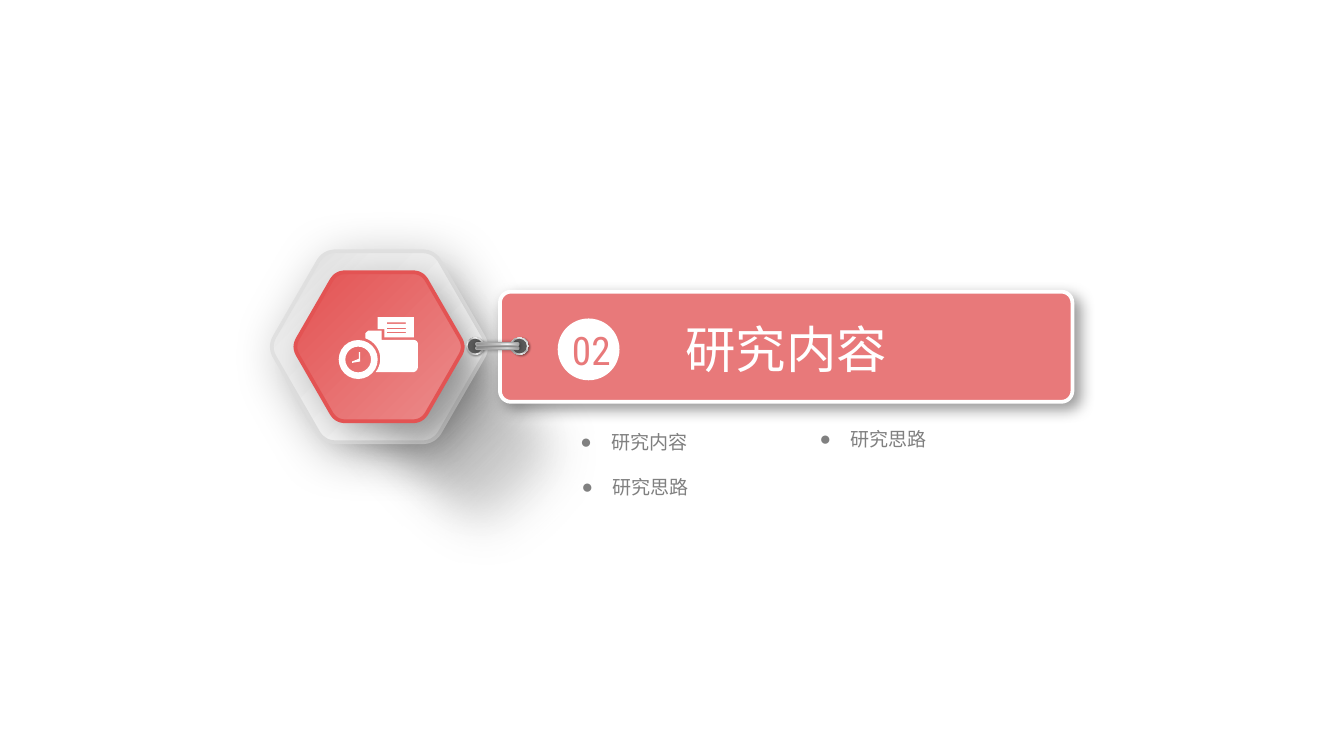
import math

import pptx
import pptx.dml.color
import pptx.enum.shapes
import pptx.enum.text
import pptx.oxml.ns
import pptx.util
from lxml import etree

Inches = pptx.util.Inches
RGBColor = pptx.dml.color.RGBColor
SHAPE = pptx.enum.shapes.MSO_SHAPE
ALIGN = pptx.enum.text.PP_ALIGN
qn = pptx.oxml.ns.qn

WHITE = RGBColor(0xFF, 0xFF, 0xFF)
BLACK = RGBColor(0, 0, 0)
CORAL = RGBColor(0xE8, 0x79, 0x7A)
CORAL_DARK = RGBColor(0xE3, 0x53, 0x53)
CORAL_LIGHT = RGBColor(0xEC, 0x8C, 0x8C)
SILVER = RGBColor(0xD9, 0xD9, 0xD9)
SILVER_LIGHT = RGBColor(0xEC, 0xEC, 0xEC)
SILVER_EDGE = RGBColor(0xE0, 0xE0, 0xE0)
STEEL = RGBColor(0xA6, 0xA6, 0xA6)
STEEL_LIGHT = RGBColor(0xF2, 0xF2, 0xF2)
HOLE = RGBColor(0x59, 0x59, 0x59)
GREY = RGBColor(0x80, 0x80, 0x80)
SHADE_MIDDLE = RGBColor(0x6C, 0x6C, 0x6C)
SHADE_END = RGBColor(0xD8, 0xD8, 0xD8)

CHINESE = "Noto Sans CJK SC"
LATIN = "Roboto Condensed"

# Gradients: (position, colour, opacity) in percent
SHADE = [(0, BLACK, 61), (37, SHADE_MIDDLE, 50), (100, SHADE_END, 0)]
PLATE = [(0, WHITE, 100), (73, SILVER_LIGHT, 100), (100, SILVER, 100)]
BADGE = [(0, CORAL_LIGHT, 100), (100, CORAL_DARK, 100)]
RING = [(0, WHITE, 100), (17, STEEL, 100), (35, STEEL_LIGHT, 100),
        (55, STEEL, 100), (75, STEEL_LIGHT, 100), (100, STEEL, 100)]
PIN = [(0, GREY, 100), (23, STEEL, 100), (52, SILVER, 100),
       (74, WHITE, 100), (100, STEEL, 100)]


def add_color(parent, color, opacity):
    node = etree.SubElement(parent, qn("a:srgbClr"), val=str(color))
    etree.SubElement(node, qn("a:alpha"), val=str(opacity * 1000))


def style(shape, fill, angle=0, line=None, shadow=None, soft=0, turn=0):
    """Fill is a colour or gradient stops; shadow is opacity, blur, distance, angle."""
    shape.rotation = turn
    if isinstance(fill, list):
        shape.fill.gradient()
        gradient = shape.element.spPr.find(qn("a:gradFill"))
        for child in list(gradient):
            gradient.remove(child)
        gradient.set("rotWithShape", "1")
        stops = etree.SubElement(gradient, qn("a:gsLst"))
        for position, color, opacity in fill:
            stop = etree.SubElement(stops, qn("a:gs"), pos=str(position * 1000))
            add_color(stop, color, opacity)
        etree.SubElement(gradient, qn("a:lin"), ang=str(angle * 60000), scaled="0")
    else:
        shape.fill.solid()
        shape.fill.fore_color.rgb = fill
    if line:
        shape.line.color.rgb, shape.line.width = line[0], pptx.util.Pt(line[1])
    else:
        shape.line.fill.background()
    shape.shadow.inherit = False
    effects = shape.element.spPr.find(qn("a:effectLst"))
    if shadow:
        opacity, blur, distance, direction = shadow
        outer = etree.SubElement(
            effects, qn("a:outerShdw"), blurRad=str(blur * 12700),
            dist=str(distance * 12700), dir=str(direction * 60000),
            algn="ctr", rotWithShape="0")
        add_color(outer, BLACK, opacity)
    if soft:
        etree.SubElement(effects, qn("a:softEdge"), rad=str(soft * 12700))


def add_preset(shapes, kind, left, top, width, height, fill, adjust=None, **look):
    shape = shapes.add_shape(kind, Inches(left), Inches(top), Inches(width), Inches(height))
    if adjust is not None:
        shape.adjustments[0] = adjust
    style(shape, fill, **look)


def add_outline(shapes, contours, fill, **look):
    contours = [[(Inches(x), Inches(y)) for x, y in points] for points in contours]
    builder = shapes.build_freeform(*contours[0][0])
    for number, points in enumerate(contours):
        if number:
            builder.move_to(*points[0])
        builder.add_line_segments(points[1:], close=True)
    style(builder.convert_to_shape(), fill, **look)


def arc(x, y, radius, start, end, steps=12):
    angles = [math.radians(start + (end - start) * i / steps) for i in range(steps + 1)]
    return [(x + radius * math.cos(a), y + radius * math.sin(a)) for a in angles]


def rectangle(left, top, right, bottom):
    return [(left, top), (right, top), (right, bottom), (left, bottom)]


def rounded_hexagon(x, y, radius, trim=0.11, steps=10):
    """Regular hexagon whose corners are quadratic curves."""
    corners = arc(x, y, radius, 0, 300, 5)
    points = []
    for i, corner in enumerate(corners):
        before, after = corners[i - 1], corners[(i + 1) % 6]
        start, end = [[c + (n - c) * trim for c, n in zip(corner, near)]
                      for near in (before, after)]
        for t in (step / steps for step in range(steps + 1)):
            points.append([(1 - t) ** 2 * s + 2 * t * (1 - t) * c + t * t * e
                           for s, c, e in zip(start, corner, end)])
    return points


def add_text(shapes, text, left, top, width, height, size, font, color,
             align=None, bullet=False):
    box = shapes.add_textbox(Inches(left), Inches(top), Inches(width), Inches(height))
    frame = box.text_frame
    frame.word_wrap = not bullet
    frame.margin_top = frame.margin_bottom = 0
    frame.vertical_anchor = pptx.enum.text.MSO_ANCHOR.MIDDLE
    para = frame.paragraphs[0]
    para.alignment = align
    if bullet:
        properties = para._p.get_or_add_pPr()
        properties.set("marL", str(Inches(0.23)))
        properties.set("indent", str(Inches(-0.23)))
        etree.SubElement(properties, qn("a:buFont"), typeface="Arial")
        etree.SubElement(properties, qn("a:buChar"), char="●")
    span = para.add_run()
    span.text = text
    span.font.size = pptx.util.Pt(size)
    span.font.name = font
    span.font.color.rgb = color
    etree.SubElement(span.font._element, qn("a:ea"), typeface=font)


def add_hexagons(page):
    shapes = page.shapes.add_group_shape().shapes
    layers = [
        ((1.89, 2.09, 2.83, 1.95), 25, 0.82, PLATE, SILVER_EDGE, (28, 28, 7, 45)),
        ((2.07, 2.24, 2.4, 1.57), 20, 0.64, BADGE, CORAL_DARK, (25, 20, 9, 45)),
    ]
    for shade, soft, radius, fill, edge, shadow in layers:
        add_preset(shapes, SHAPE.ROUNDED_RECTANGLE, *shade, SHADE, 0.5, turn=46, soft=soft)
        add_outline(shapes, [rounded_hexagon(2.82, 2.58, radius)], fill,
                    angle=45, line=(edge, 2), shadow=shadow, turn=180)


def add_clasp(page):
    for left in (3.8, 3.47):
        shapes = page.shapes.add_group_shape().shapes
        add_preset(shapes, SHAPE.OVAL, left, 2.51, 0.13, 0.13, RING,
                   angle=45, shadow=(40, 1, 1, 45), turn=270)
        add_preset(shapes, SHAPE.OVAL, left + 0.01, 2.52, 0.11, 0.11, HOLE, turn=270)
    shapes = page.shapes.add_group_shape().shapes
    for top in (2.43, 2.4):
        add_preset(shapes, SHAPE.ROUNDED_RECTANGLE, 3.69, top, 0.02, 0.32, PIN, 0.5,
                   angle=90, line=(STEEL, 0.75), shadow=(40, 2, 0, 0), turn=270)


def add_icon(page):
    shapes = page.shapes.add_group_shape().shapes
    # Folder, cut away around the clock
    folder = ([(2.72, 2.48), (2.74, 2.46), (2.84, 2.46), (2.84, 2.53)]
              + arc(3.08, 2.56, 0.03, -90, 0, 6) + arc(3.07, 2.73, 0.04, 0, 90, 6)
              + arc(2.67, 2.67, 0.16, 38, -72))
    add_outline(shapes, [folder], WHITE)
    # Sheet with three ruled lines
    sheet = [(2.81, 2.36), (3.08, 2.36), (3.08, 2.51), (2.86, 2.51), (2.86, 2.45), (2.81, 2.45)]
    rules = [rectangle(2.88, y, 3.02, y + 0.01) for y in (2.4, 2.44, 2.47)]
    add_outline(shapes, [sheet] + rules, WHITE)
    # Clock face and hands
    add_preset(shapes, SHAPE.DONUT, 2.52, 2.53, 0.29, 0.29, WHITE, 0.17)
    hands = [(2.67, 2.62), (2.68, 2.62), (2.68, 2.69), (2.62, 2.7), (2.62, 2.69), (2.67, 2.67)]
    add_outline(shapes, [hands], WHITE)


def main():
    deck = pptx.Presentation()
    deck.slide_width = Inches(10)
    deck.slide_height = Inches(10 * 9 / 16)
    page = deck.slides.add_slide(deck.slide_layouts[6])

    add_hexagons(page)

    # Title bar
    add_preset(page.shapes, SHAPE.ROUNDED_RECTANGLE, 3.72, 2.17, 4.26, 0.82, CORAL, 0.1,
               line=(WHITE, 2), shadow=(40, 8, 4, 45))
    add_clasp(page)

    # Section number
    number = page.shapes.add_group_shape().shapes
    add_preset(number, SHAPE.OVAL, 4.15, 2.37, 0.46, 0.46, WHITE)
    add_text(number, "02", 4.13, 2.38, 0.54, 0.45, 21, LATIN, CORAL, ALIGN.CENTER)

    add_icon(page)

    # Title and topics
    add_text(page.shapes, "研究内容", 4.41, 2.31, 2.88, 0.56, 27, CHINESE, WHITE, ALIGN.CENTER)
    for text, left, top in [("研究内容", 4.22, 3.15), ("研究思路", 6, 3.13),
                            ("研究思路", 4.23, 3.49)]:
        add_text(page.shapes, text, left, top, 1.01, 0.27, 10.2, CHINESE, GREY, bullet=True)

    deck.save("out.pptx")


if __name__ == "__main__":
    main()
